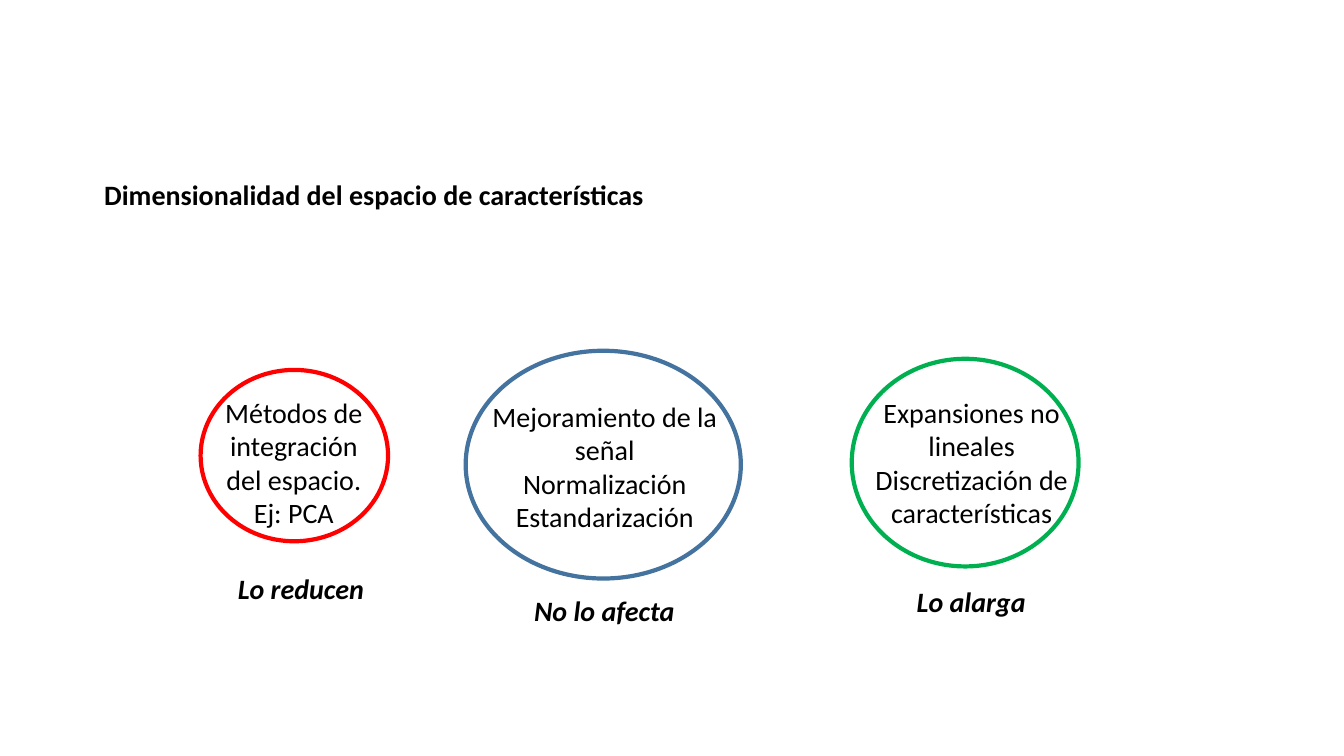
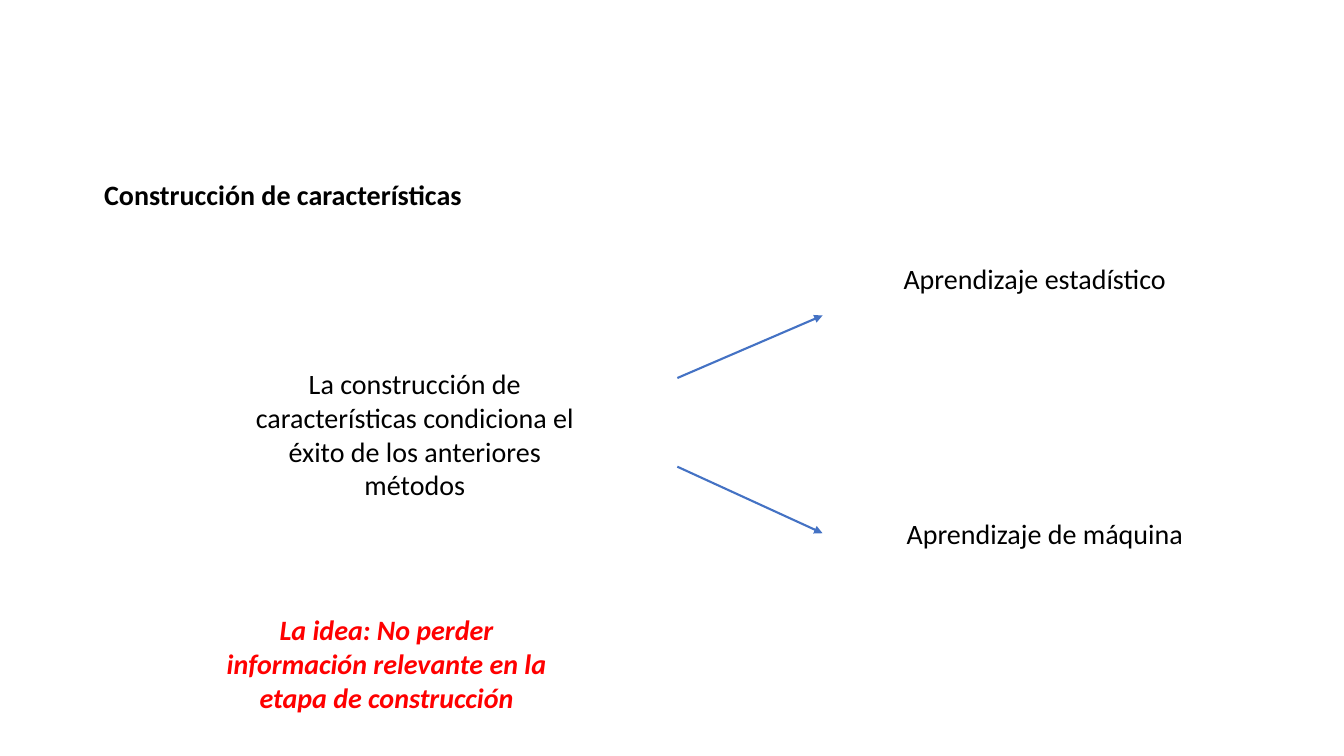
from dataclasses import dataclass

import lxml.etree
import pptx
import pptx.dml.color
import pptx.enum.shapes
import pptx.enum.text
import pptx.oxml.ns
import pptx.util

ALIGN = pptx.enum.text.PP_ALIGN


@dataclass(frozen=True)
class Theme:
    font: str = "Calibri"
    size: int = 20
    black: str = "000000"
    red: str = "FF0000"
    blue: str = "43739E"
    green: str = "00B050"
    arrow: str = "4472C4"
    ring_width: float = 3
    arrow_width: float = 1.5


@dataclass(frozen=True)
class Box:
    """A place on the grid, in columns and rows."""
    col: float
    row: float
    cols: float
    rows: float


@dataclass(frozen=True)
class Note:
    text: str
    box: Box
    color: str = Theme.black
    strong: bool = False


@dataclass(frozen=True)
class Ring:
    color: str
    box: Box


@dataclass(frozen=True)
class Arrow:
    start: tuple[float, float]
    end: tuple[float, float]


THEME = Theme()
WIDTH, HEIGHT = pptx.util.Inches(13.33), pptx.util.Inches(7.5)
COLUMNS, ROWS = 40, 30
LINE_ROWS, FOUR_LINE_ROWS = 1.76, 5.8
TITLE_BOX = Box(2.8, 6.84, 26.6, LINE_ROWS)
LABEL_COLS, TOPIC_COLS, WIDE_COLS = 5.19, 7.62, 10.83

# Slide 1: effect of each family of methods on dimensionality
EFFECT_TOPICS = [
    Note("Métodos de integración del espacio. Ej: PCA",
         Box(6.15, 15.48, LABEL_COLS, FOUR_LINE_ROWS)),
    Note("Mejoramiento de la señal\nNormalización\nEstandarización",
         Box(14.19, 15.64, TOPIC_COLS, FOUR_LINE_ROWS)),
    Note("Expansiones no lineales\nDiscretización de características",
         Box(25.11, 15.48, TOPIC_COLS, FOUR_LINE_ROWS)),
]
EFFECT_RINGS = [
    Ring(THEME.blue, Box(13.86, 13.92, 8.19, 9.04)),
    Ring(THEME.green, Box(25.35, 14.24, 6.75, 8.24)),
    Ring(THEME.red, Box(5.97, 14.68, 5.58, 6.8)),
]
EFFECT_LABELS = [
    Note(text, Box(col, row, LABEL_COLS, LINE_ROWS), strong=True)
    for text, col, row in (
        ("Lo reducen", 6.36, 22.48),
        ("No lo afecta", 15.39, 23.36),
        ("Lo alarga", 26.31, 23),
    )
]

# Slide 2: feature construction leads to both kinds of learning
LEARNING_ARROWS = [
    Arrow((20.16, 15), (24.48, 12.52)),
    Arrow((20.16, 18.52), (24.48, 21.16)),
]
LEARNING_NOTES = [
    Note("La construcción de características condiciona el éxito de los anteriores métodos",
         Box(6.93, 14.36, WIDE_COLS, FOUR_LINE_ROWS)),
    Note("Aprendizaje estadístico", Box(25.38, 10.2, WIDE_COLS, LINE_ROWS)),
    Note("Aprendizaje de máquina", Box(25.68, 20.32, WIDE_COLS, LINE_ROWS)),
    Note("La idea: No perder información relevante en la etapa de construcción",
         Box(6.09, 24.12, WIDE_COLS, 4.44), THEME.red, strong=True),
]


def x(col: float) -> int:
    return round(WIDTH * col / COLUMNS)


def y(row: float) -> int:
    return round(HEIGHT * row / ROWS)


def place(box: Box) -> tuple[int, int, int, int]:
    return x(box.col), y(box.row), x(box.cols), y(box.rows)


def rgb(color: str) -> pptx.dml.color.RGBColor:
    return pptx.dml.color.RGBColor.from_string(color)


def write(sp, text: str, align, color: str, bold: bool, italic: bool) -> None:
    tf = sp.text_frame
    tf.text = text
    tf.word_wrap = True
    tf.auto_size = pptx.enum.text.MSO_AUTO_SIZE.NONE
    tf.vertical_anchor = pptx.enum.text.MSO_ANCHOR.TOP
    for p in tf.paragraphs:
        p.alignment = align
        for r in p.runs:
            r.font.name = THEME.font
            r.font.size = pptx.util.Pt(THEME.size)
            r.font.bold, r.font.italic = bold, italic
            r.font.color.rgb = rgb(color)


def add_slide(prs, title: str):
    slide = prs.slides.add_slide(prs.slide_layouts.get_by_name("Title Only"))
    sp = slide.shapes.title
    sp.left, sp.top, sp.width, sp.height = place(TITLE_BOX)
    write(sp, title, ALIGN.LEFT, THEME.black, bold=True, italic=False)
    return slide


def add_note(slide, note: Note) -> None:
    sp = slide.shapes.add_textbox(*place(note.box))
    write(sp, note.text, ALIGN.CENTER, note.color, note.strong, note.strong)


def add_ring(slide, ring: Ring) -> None:
    sp = slide.shapes.add_shape(pptx.enum.shapes.MSO_SHAPE.OVAL, *place(ring.box))
    sp.shadow.inherit = False
    sp.fill.background()
    sp.line.color.rgb = rgb(ring.color)
    sp.line.width = pptx.util.Pt(THEME.ring_width)


def add_arrow(slide, arrow: Arrow) -> None:
    (col1, row1), (col2, row2) = arrow.start, arrow.end
    sp = slide.shapes.add_connector(
        pptx.enum.shapes.MSO_CONNECTOR.STRAIGHT, x(col1), y(row1), x(col2), y(row2))
    sp.line.color.rgb = rgb(THEME.arrow)
    sp.line.width = pptx.util.Pt(THEME.arrow_width)
    qn = pptx.oxml.ns.qn
    sp_pr = sp._element.spPr
    lxml.etree.SubElement(sp_pr.find(qn("a:ln")), qn("a:tailEnd"), type="triangle")
    lxml.etree.SubElement(sp_pr, qn("a:effectLst"))


def main() -> None:
    prs = pptx.Presentation()
    prs.slide_width, prs.slide_height = WIDTH, HEIGHT

    slide = add_slide(prs, "Dimensionalidad del espacio de características")
    for topic in EFFECT_TOPICS:
        add_note(slide, topic)
    for ring in EFFECT_RINGS:
        add_ring(slide, ring)
    for label in EFFECT_LABELS:
        add_note(slide, label)

    slide = add_slide(prs, "Construcción de características")
    for arrow in LEARNING_ARROWS:
        add_arrow(slide, arrow)
    for note in LEARNING_NOTES:
        add_note(slide, note)

    prs.save("out.pptx")


if __name__ == "__main__":
    main()
